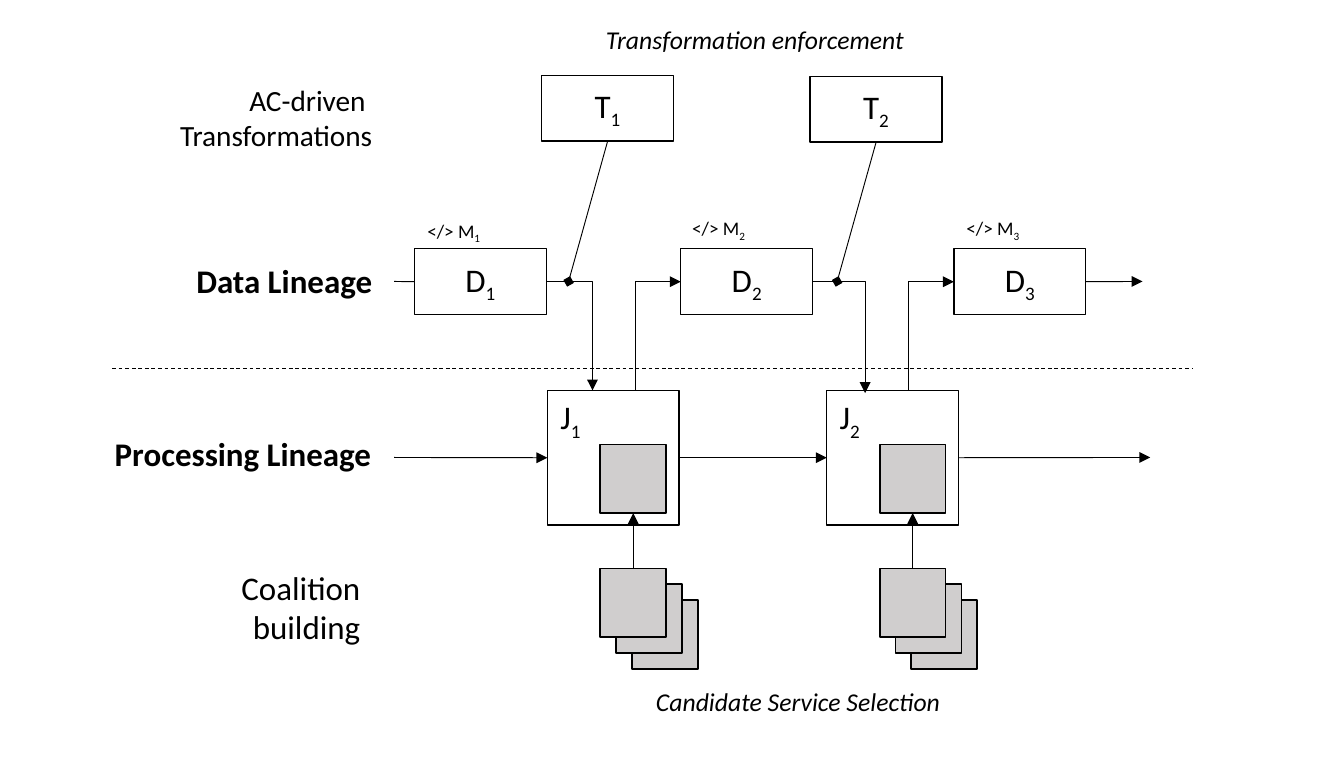
from dataclasses import dataclass

from pptx import Presentation
from pptx.dml.color import RGBColor
from pptx.enum.dml import MSO_LINE
from pptx.enum.shapes import MSO_CONNECTOR, MSO_SHAPE
from pptx.enum.text import MSO_ANCHOR, MSO_AUTO_SIZE, PP_ALIGN
from pptx.oxml.ns import qn
from pptx.util import Cm, Pt
from lxml.etree import SubElement


@dataclass(frozen=True)
class Theme:
    """Colours, font and sizes of the diagram."""
    font: str = "Calibri"
    ink: RGBColor = RGBColor(0, 0, 0)
    service: RGBColor = RGBColor(0xD0, 0xCE, 0xCE)
    label: float = 18
    side: float = 16
    caption: float = 14
    meta: float = 10.5
    box_line: float = 0.75
    service_line: float = 1
    link_line: float = 0.5


THEME = Theme()
TOP, LEFT, BOTTOM, RIGHT = range(4)
BOX_W, BOX_H = 2.54, 1.27
JOB_H = 2.59
SERVICE_W, SERVICE_H = 1.27, 1.32
DATA_Y, FLOW_Y = 4.79, 5.42
JOB_Y, JOB_MID = 7.52, 8.81


def format_runs(p, size, bold=False, italic=False):
    """Apply the theme font to every run of a paragraph."""
    for r in p.runs:
        r.font.name = THEME.font
        r.font.size = Pt(size)
        r.font.bold = bold
        r.font.italic = italic
        r.font.color.rgb = THEME.ink


def write_indexed(p, name, index, size):
    """Write a name followed by a subscript index."""
    p.text = name
    r = p.add_run()
    r.text = str(index)
    format_runs(p, size)
    r.font._element.set("baseline", "-25000")


def add_rect(s, x, y, w, h, line, fill=None):
    """Add an outlined rectangle, filled only when a colour is given."""
    sp = s.shapes.add_shape(MSO_SHAPE.RECTANGLE, Cm(x), Cm(y), Cm(w), Cm(h))
    sp.shadow.inherit = False
    if fill is None:
        sp.fill.background()
    else:
        sp.fill.solid()
        sp.fill.fore_color.rgb = fill
    sp.line.color.rgb = THEME.ink
    sp.line.width = Pt(line)
    return sp


def add_node(s, name, index, x, y, h=BOX_H, anchor=MSO_ANCHOR.MIDDLE, align=PP_ALIGN.CENTER):
    """Add a labelled box of the lineage."""
    sp = add_rect(s, x, y, BOX_W, h, THEME.box_line)
    tf = sp.text_frame
    tf.vertical_anchor = anchor
    p = tf.paragraphs[0]
    p.alignment = align
    write_indexed(p, name, index, THEME.label)
    return sp


def add_service(s, x, y):
    """Add a grey service square."""
    return add_rect(s, x, y, SERVICE_W, SERVICE_H, THEME.service_line, THEME.service)


def add_text(s, x, y, w, h, text="", size=THEME.label, align=PP_ALIGN.LEFT,
             wrap=False, bold=False, italic=False):
    """Add a text box and return its text frame."""
    tf = s.shapes.add_textbox(Cm(x), Cm(y), Cm(w), Cm(h)).text_frame
    tf.word_wrap = wrap
    tf.auto_size = MSO_AUTO_SIZE.SHAPE_TO_FIT_TEXT
    tf.text = text
    for p in tf.paragraphs:
        p.alignment = align
        format_runs(p, size, bold, italic)
    return tf


def add_link(s, start, end, begin=None, finish=None, head=None, tail=None, bent=False):
    """Add a connector; begin and finish are (shape, side) joints."""
    kind = MSO_CONNECTOR.ELBOW if bent else MSO_CONNECTOR.STRAIGHT
    sp = s.shapes.add_connector(kind, Cm(start[0]), Cm(start[1]), Cm(end[0]), Cm(end[1]))
    if begin:
        sp.begin_connect(*begin)
    if finish:
        sp.end_connect(*finish)
    sp.line.color.rgb = THEME.ink
    sp.line.width = Pt(THEME.link_line)
    spPr = sp._element.spPr
    if bent:
        spPr.find(qn("a:prstGeom")).set("prst", "bentConnector2")
    for tag, arrow in (("a:headEnd", head), ("a:tailEnd", tail)):
        if arrow:
            SubElement(spPr.find(qn("a:ln")), qn(tag)).set("type", arrow)
    SubElement(spPr, qn("a:effectLst"))
    return sp


def add_job(s, index, x):
    """Add a job with its selected service and stack of candidates."""
    service_x, stack_y, step = x + 1.02, 10.95, 0.305
    for k in (2, 1):
        add_service(s, service_x + k * step, stack_y + k * step)
    job = add_node(s, "J", index, x, JOB_Y, JOB_H, MSO_ANCHOR.TOP, PP_ALIGN.LEFT)
    chosen = add_service(s, service_x, 8.56)
    candidate = add_service(s, service_x, stack_y)
    mid = service_x + SERVICE_W / 2
    add_link(s, (mid, stack_y), (mid, 8.56 + SERVICE_H), (candidate, TOP),
             (chosen, BOTTOM), tail="triangle")
    return job


def add_data(s, index, x, meta_x, meta_y):
    """Add a data box with its metadata tag."""
    tf = add_text(s, meta_x, meta_y, 1.55, 0.71)
    write_indexed(tf.paragraphs[0], "</> M", index, THEME.meta)
    return add_node(s, "D", index, x, DATA_Y)


def add_transformation(s, index, x, y, pin):
    """Add a transformation pinned on the data flow."""
    box = add_node(s, "T", index, x, y)
    add_link(s, (x + BOX_W / 2, y + BOX_H), pin, (box, BOTTOM), tail="diamond")


def add_flows(s, data, jobs):
    """Link data boxes and jobs along both lineages."""
    d1, d2, d3 = data
    j1, j2 = jobs
    add_link(s, (7.98, FLOW_Y), (7.59, FLOW_Y), (d1, LEFT))
    add_link(s, (20.93, FLOW_Y), (22, FLOW_Y), (d3, RIGHT), tail="triangle")
    add_link(s, (7.59, JOB_MID), (10.54, JOB_MID), finish=(j1, LEFT), tail="triangle")
    add_link(s, (13.08, JOB_MID), (15.92, JOB_MID), (j1, RIGHT), (j2, LEFT), tail="triangle")
    add_link(s, (18.46, JOB_MID), (22.15, JOB_MID), (j2, RIGHT), tail="triangle")
    for d, x, job_x, job_y in ((d1, 10.52, 11.41, JOB_Y), (d2, 15.65, 16.66, 7.57)):
        add_link(s, (x, FLOW_Y), (job_x, job_y), (d, RIGHT), tail="triangle", bent=True)
    for d, x, job_x in ((d2, 13.1, 12.24), (d3, 18.39, 17.5)):
        add_link(s, (x, FLOW_Y), (job_x, JOB_Y), (d, LEFT), head="triangle", bent=True)


def add_labels(s):
    """Add the row labels and captions."""
    right, center = PP_ALIGN.RIGHT, PP_ALIGN.CENTER
    add_text(s, 1.96, 8.23, 5.49, 1.02, "Processing Lineage", bold=True)
    add_text(s, 3.53, 4.9, 3.94, 1.02, "Data Lineage", bold=True)
    add_text(s, 2.64, 10.8, 4.55, 1.8, "Coalition building", align=right, wrap=True)
    add_text(s, 3.15, 1.45, 4.27, 1.63, "AC-driven \nTransformations", THEME.side, right)
    add_text(s, 11.61, 13.08, 7.52, 0.86, "Candidate Service Selection",
             THEME.caption, center, wrap=True, italic=True)
    add_text(s, 10.44, 0.33, 8.2, 0.86, "Transformation enforcement",
             THEME.caption, center, wrap=True, italic=True)


def main():
    """Build and save the slide."""
    prs = Presentation()
    prs.slide_width, prs.slide_height = Cm(25.88), Cm(15.06)
    s = prs.slides.add_slide(prs.slide_layouts[6])
    jobs = [add_job(s, i, x) for i, x in enumerate((10.54, 15.92), 1)]
    places = ((7.98, 7.98, 4.09), (13.11, 13.08, 4.04), (18.37, 18.36, 4.04))
    data = [add_data(s, i, *place) for i, place in enumerate(places, 1)]
    add_transformation(s, 1, 10.43, 1.45, (10.95, FLOW_Y))
    add_transformation(s, 2, 15.6, 1.47, (16.12, FLOW_Y))
    add_flows(s, data, jobs)
    divider = add_link(s, (2.16, 7.09), (22.96, 7.09))
    divider.line.dash_style = MSO_LINE.DASH
    add_labels(s)
    prs.save("out.pptx")


if __name__ == "__main__":
    main()
